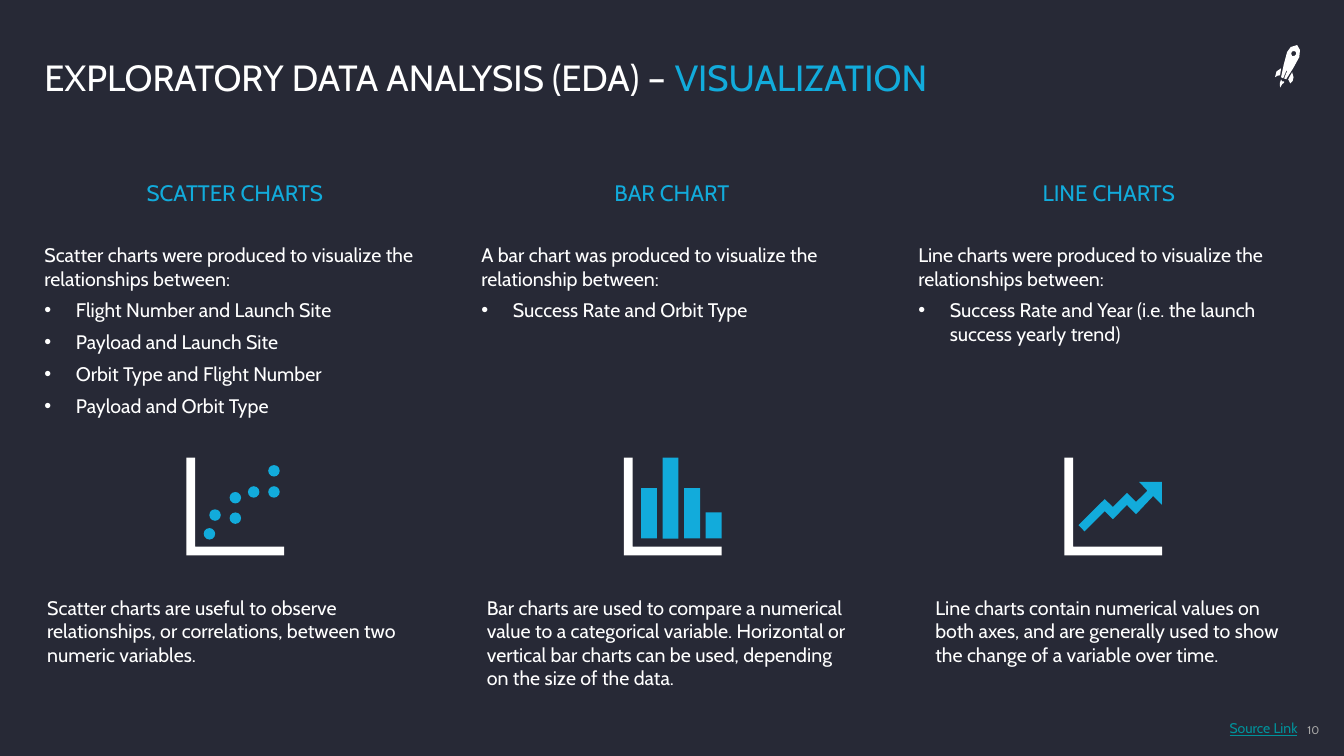
from lxml.etree import SubElement
from pptx import Presentation
from pptx.dml.color import RGBColor
from pptx.enum.shapes import MSO_SHAPE
from pptx.enum.text import MSO_ANCHOR, PP_ALIGN
from pptx.oxml.ns import qn
from pptx.util import Pt

COLORS = {
    "background": "272936",
    "white": "FFFFFF",
    "accent": "12ABDB",
    "link": "00929B",
    "muted": "A6A6A6",
}
FONT = "Cabin"
COLUMN_LEFT, COLUMN_STEP, COLUMN_WIDTH = 31.7, 312.1, 272.2
ICON_TOP, ICON_SIZE = 326.9, 69.8

COLUMNS = [
    {
        "heading": "SCATTER CHARTS",
        "intro": "Scatter charts were produced to visualize the relationships between:",
        "bullets": ["Flight Number and Launch Site", "Payload and Launch Site",
                    "Orbit Type and Flight Number", "Payload and Orbit Type"],
        "note": "Scatter charts are useful to observe relationships, or correlations, "
                "between two numeric variables.",
        "note_left": 26.6, "icon_left": 133.2,
    },
    {
        "heading": "BAR CHART",
        "intro": "A bar chart was produced to visualize the relationship between:",
        "bullets": ["Success Rate and Orbit Type"],
        "note": "Bar charts are used to compare a numerical value to a categorical variable. "
                "Horizontal or vertical bar charts can be used, depending on the size of the data.",
        "note_left": 340.6, "icon_left": 445.7,
    },
    {
        "heading": "LINE CHARTS",
        "intro": "Line charts were produced to visualize the relationships between:",
        "bullets": ["Success Rate and Year (i.e. the launch success yearly trend)"],
        "note": "Line charts contain numerical values on both axes, and are generally used "
                "to show the change of a variable over time.",
        "note_left": 661, "icon_left": 760.3,
    },
]

# Outlines in points, relative to the top left corner of each icon
AXES = [(0, 0), (6.2, 0), (6.2, 63.6), (69.8, 63.6), (69.8, 69.8), (0, 69.8)]
DOT_CENTERS = [(16.4, 54.4), (20.4, 41), (34.9, 43.2), (34.9, 28.6),
               (48, 24.5), (62.5, 24.5), (62.5, 9.4)]
DOT_SIZE = 8.2
BAR_HEIGHTS = [36, 57.8, 36, 18.6]
TREND_ARROW = [(53.4, 17.3), (59.3, 23.6), (51.2, 31.6), (44.7, 25.2), (34.6, 35.2),
               (28.8, 29.6), (10, 48.2), (14.4, 52.6), (28.8, 38.2), (34.6, 44),
               (44.7, 33.8), (51.2, 40.4), (63.4, 27.4), (69.6, 33.6), (69.6, 17.3)]
ROCKET = [
    # flame, right fin, left fin, body, window
    [(3.6, 30.4), (3.4, 27.4), (4.3, 24.6), (5, 25.9), (6.5, 25.9), (6.5, 26.8), (5, 28.1)],
    [(10.8, 27.4), (9.4, 24.5), (12.2, 19.4), (13.2, 23), (12.6, 25.6)],
    [(0, 23), (1, 18.9), (4.3, 16.6), (3.6, 21.6), (1.8, 21.9)],
    [(6.5, 23.8), (8.6, 18.7), (8.6, 18), (7.9, 18.7), (5.8, 23.8), (4.3, 23), (6.2, 14),
     (8.6, 5), (11.2, 1.4), (15.8, 0), (17.8, 3.6), (17.3, 8.6), (13, 16.5), (7.9, 24.5)],
    [(13.7, 4.3), (12.2, 4.6), (11.5, 5.9), (12.2, 7.9), (14, 7.7), (15.1, 6.5), (14.8, 4.9)],
]


def color(name):
    return RGBColor.from_string(COLORS[name])


def add_bullet(paragraph, indent=22.5):
    properties = paragraph._p.get_or_add_pPr()
    properties.set("marL", str(Pt(indent)))
    properties.set("indent", str(-Pt(indent)))
    SubElement(properties, qn("a:buFont"), typeface="Arial")
    SubElement(properties, qn("a:buChar"), char="•")


def add_run(paragraph, text, size=14, fill="white", underline=None):
    run = paragraph.add_run()
    run.text = text
    run.font.name = FONT
    run.font.size = Pt(size)
    run.font.color.rgb = color(fill)
    run.font.underline = underline


def add_text(slide, text, left, top, width, height, bullets=(), margins=(0, 0),
             anchor=MSO_ANCHOR.TOP, align=PP_ALIGN.LEFT, space_after=0,
             line_spacing=None, wrap=True, accent_text="", **run_format):
    shape = slide.shapes.add_textbox(Pt(left), Pt(top), Pt(width), Pt(height))
    frame = shape.text_frame
    frame.word_wrap = wrap
    frame.vertical_anchor = anchor
    frame.margin_left = frame.margin_right = Pt(margins[0])
    frame.margin_top = frame.margin_bottom = Pt(margins[1])
    for index, line in enumerate([text, *bullets]):
        paragraph = frame.add_paragraph() if index else frame.paragraphs[0]
        paragraph.alignment = align
        paragraph.space_after = Pt(space_after)
        paragraph.line_spacing = line_spacing
        if index:
            add_bullet(paragraph)
        add_run(paragraph, line, **run_format)
    if accent_text:
        add_run(paragraph, accent_text, **{**run_format, "fill": "accent"})


def paint(shape, fill):
    shape.shadow.inherit = False
    shape.fill.solid()
    shape.fill.fore_color.rgb = color(fill)
    shape.line.fill.background()


def add_outline(slide, contours, left, top, fill):
    contours = [[(Pt(left + x), Pt(top + y)) for x, y in contour] for contour in contours]
    builder = slide.shapes.build_freeform(*contours[0][0])
    for index, contour in enumerate(contours):
        if index:
            builder.move_to(*contour[0])
        builder.add_line_segments(contour[1:], close=True)
    paint(builder.convert_to_shape(), fill)


def add_preset(slide, kind, left, top, width, height):
    paint(slide.shapes.add_shape(kind, Pt(left), Pt(top), Pt(width), Pt(height)), "accent")


def add_scatter(slide, left):
    for x, y in DOT_CENTERS:
        add_preset(slide, MSO_SHAPE.OVAL, left + x - DOT_SIZE / 2,
                   ICON_TOP + y - DOT_SIZE / 2, DOT_SIZE, DOT_SIZE)


def add_bars(slide, left):
    for index, height in enumerate(BAR_HEIGHTS):
        add_preset(slide, MSO_SHAPE.RECTANGLE, left + 12.2 + 15.4 * index,
                   ICON_TOP + max(BAR_HEIGHTS) - height, 11.4, height)


def add_trend(slide, left):
    add_outline(slide, [TREND_ARROW], left, ICON_TOP, "accent")


def add_column(slide, index, column, add_icon_marks):
    left = COLUMN_LEFT + COLUMN_STEP * index
    add_text(slide, column["heading"], left, 104.4, COLUMN_WIDTH, 66.2, size=16,
             fill="accent", anchor=MSO_ANCHOR.MIDDLE, align=PP_ALIGN.CENTER, space_after=6)
    add_text(slide, column["intro"], left, 173.5, COLUMN_WIDTH, 321,
             bullets=column["bullets"], space_after=6)
    add_outline(slide, [AXES], column["icon_left"], ICON_TOP, "white")
    add_icon_marks(slide, column["icon_left"])
    add_text(slide, column["note"], column["note_left"], 421.9, COLUMN_WIDTH, 75,
             margins=(7.2, 3.6))


def main():
    presentation = Presentation()
    presentation.slide_width, presentation.slide_height = Pt(960), Pt(540)
    slide = presentation.slides.add_slide(presentation.slide_layouts[6])
    slide.background.fill.solid()
    slide.background.fill.fore_color.rgb = color("background")

    # Header
    add_text(slide, "EXPLORATORY DATA ANALYSIS (EDA) – ", 31.7, 15.1, 861.8, 56.2,
             accent_text="VISUALIZATION", size=26, anchor=MSO_ANCHOR.BOTTOM, line_spacing=0.9)
    add_outline(slide, ROCKET, 910.8, 32.2, "white")

    # Chart columns
    for index, (column, marks) in enumerate(zip(COLUMNS, [add_scatter, add_bars, add_trend])):
        add_column(slide, index, column, marks)

    # Footer
    add_text(slide, "Source Link", 871.2, 510.5, 70.6, 20.2, margins=(7.2, 3.6),
             wrap=False, size=10, fill="link", underline=True)
    add_text(slide, "10", 924.5, 513.4, 18, 17.3, margins=(0, 3.6),
             align=PP_ALIGN.RIGHT, size=8, fill="muted")
    presentation.save("out.pptx")


if __name__ == "__main__":
    main()
